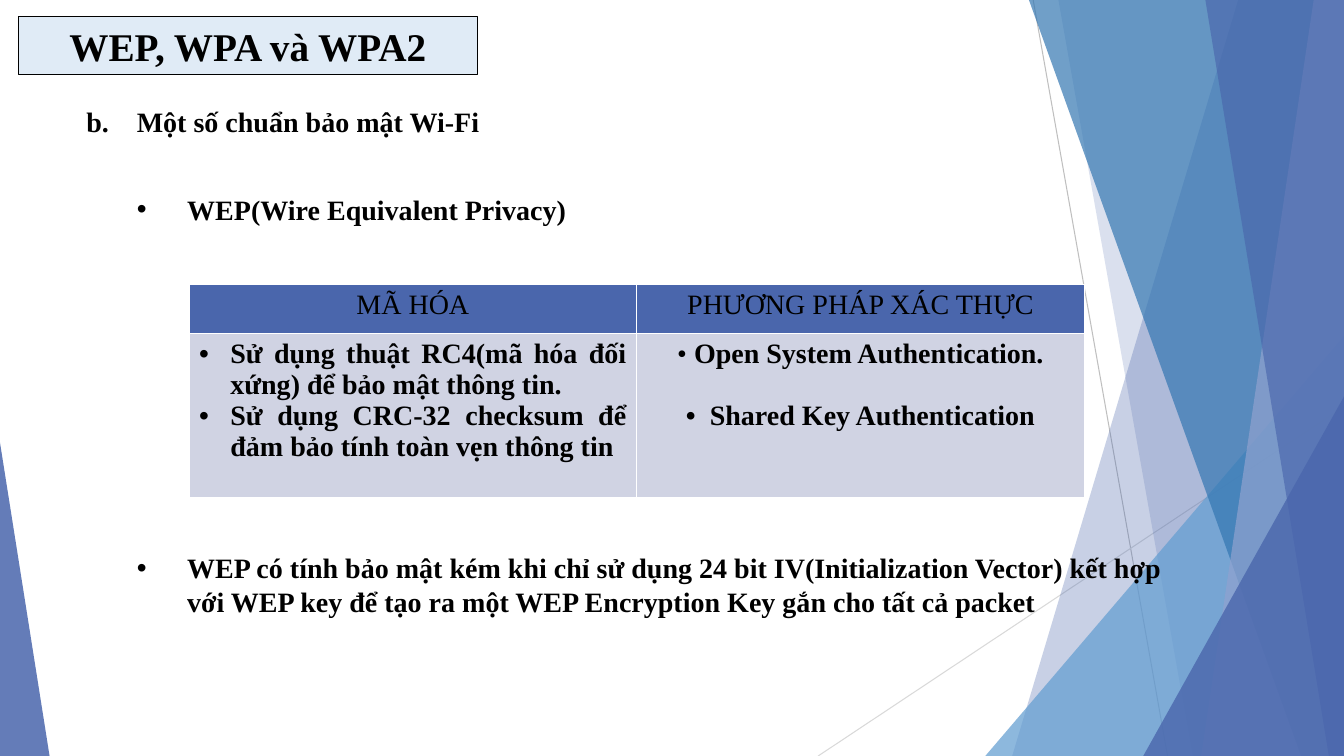
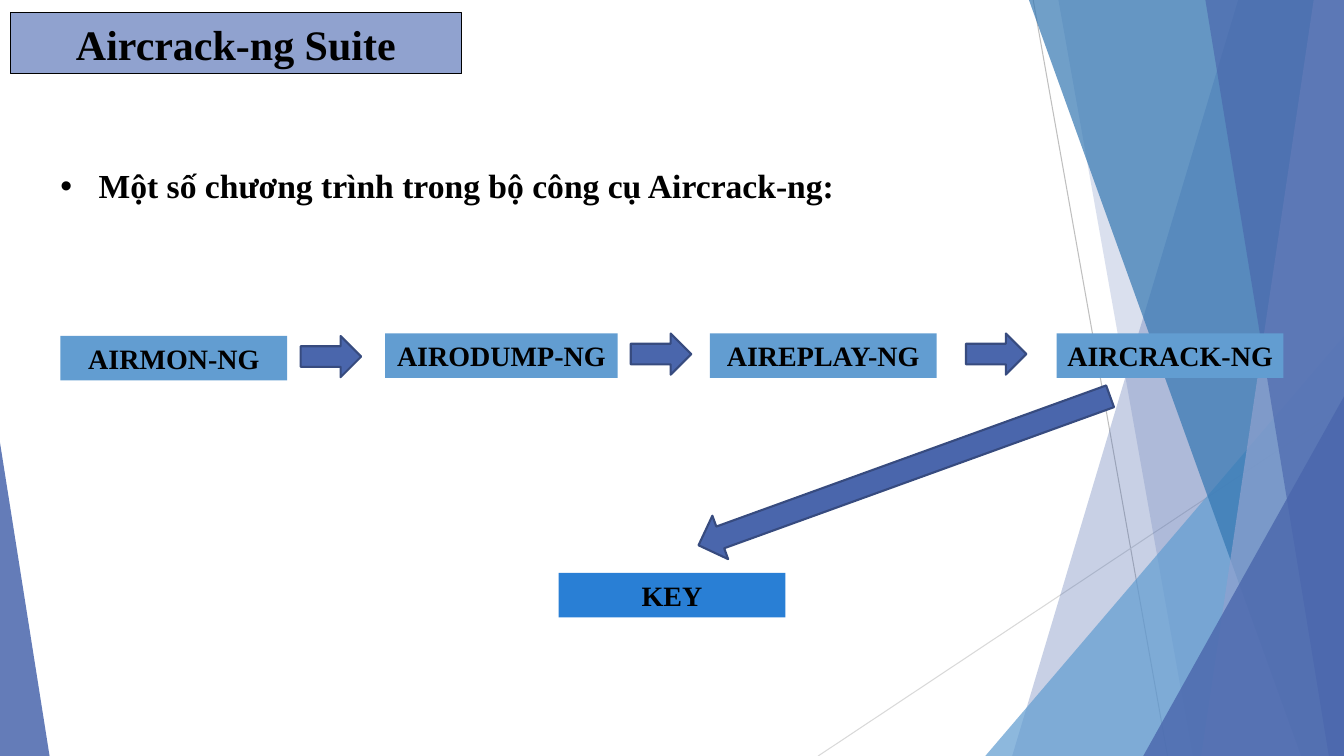
from lxml import etree
from pptx import Presentation, util as u
from pptx.dml.color import RGBColor
from pptx.enum import shapes, text
from pptx.oxml.ns import qn

COLS, ROWS = 160, 90
CELL = u.Inches(1) / 12
FONT = "Times New Roman"
BLACK, WHITE = "000000", "FFFFFF"
INDIGO, NAVY, LAVENDER = "4A66AC", "374B7F", "90A2CF"
SKY, STEEL, BLUE = "629DD1", "3477B2", "297FD5"
PALE_BLUE, PALE_GREY = "E0EBF6", "D0D3E3"
CENTER, JUSTIFY = text.PP_ALIGN.CENTER, text.PP_ALIGN.JUSTIFY
DOT = ("a:buChar", {"char": "•"})
LETTER_B = ("a:buAutoNum", {"type": "alphaLcPeriod", "startAt": "2"})

RAYS = [(147.4, 120.5, INDIGO, 30), (126, 142, INDIGO, 20),
        (122.5, 154.9, STEEL, 70), (156.4, 143, LAVENDER, 70),
        (143.5, 158.2, INDIGO, 65)]
STEPS = [("AIRMON-NG", 7.2, 40, 27), ("AIRODUMP-NG", 45.84, 39.7, 27.7),
         ("AIREPLAY-NG", 84.5, 39.7, 27), ("AIRCRACK-NG", 125.8, 39.7, 27)]
ARROWS = [(35.8, 40), (75.1, 39.7), (115, 39.7)]


def rgb(hex_string):
    """Turn a hex string into a colour."""
    return RGBColor.from_string(hex_string)


def grid(*cells):
    """Turn grid cells into lengths."""
    return [u.Emu(round(c * CELL)) for c in cells]


def paint(sp, fill, line=None, width=0.75, alpha=None):
    """Set the fill, outline and opacity of a shape without shadow."""
    sp.shadow.inherit = False
    sp.fill.solid()
    sp.fill.fore_color.rgb = rgb(fill)
    if alpha:
        color = sp.element.spPr.find(".//" + qn("a:srgbClr"))
        etree.SubElement(color, qn("a:alpha"), val=str(alpha * 1000))
    if line:
        sp.line.color.rgb = rgb(line)
        sp.line.width = u.Pt(width)
    else:
        sp.line.fill.background()


def style(p, size=20, bold=True, align=None):
    """Format every run of a paragraph."""
    p.alignment = align
    for r in p.runs:
        r.font.name, r.font.size, r.font.bold = FONT, u.Pt(size), bold
        r.font.color.rgb = rgb(BLACK)


def bullet(p, mark, indent):
    """Give a paragraph a hanging bullet or number."""
    pPr = p._p.get_or_add_pPr()
    pPr.set("marL", str(u.Inches(indent)))
    pPr.set("indent", str(-u.Inches(indent)))
    etree.SubElement(pPr, qn("a:buFont"), typeface="Arial" if mark is DOT else FONT)
    etree.SubElement(pPr, qn(mark[0]), mark[1])


def ray(s, top, bottom, color, alpha):
    """Draw a band from a slanted left side to the right slide edge."""
    points = [grid(x, y) for x, y in
              [(top, 0), (COLS, 0), (COLS, ROWS), (bottom, ROWS)]]
    fb = s.shapes.build_freeform(*points[0])
    fb.add_line_segments(points[1:], close=True)
    paint(fb.convert_to_shape(), color, alpha=alpha)


def wedge(s, x, y, w, apex, color, alpha):
    """Draw a right triangle standing on the bottom edge."""
    sp = s.shapes.add_shape(shapes.MSO_SHAPE.ISOSCELES_TRIANGLE,
                            *grid(x, y, w, ROWS - y))
    sp.adjustments[0] = apex
    paint(sp, color, alpha=alpha)


def hairline(s, x1, y1, x2, y2, color):
    """Draw a thin straight line."""
    cx = s.shapes.add_connector(shapes.MSO_CONNECTOR.STRAIGHT,
                                *grid(x1, y1, x2, y2))
    cx.line.color.rgb = rgb(color)
    cx.line.width = u.Pt(0.75)
    etree.SubElement(cx.element.spPr, qn("a:effectLst"))


def backdrop(s):
    """Draw the shared facets and move them to the slide's layout."""
    hairline(s, 123, 0, 139, ROWS, "BFBFBF")
    hairline(s, COLS, 48.4, 97.4, ROWS, "D9D9D9")
    for band in RAYS[:2]:
        ray(s, *band)
    wedge(s, 117.3, 40, 42.7, 1, SKY, 72)
    for band in RAYS[2:]:
        ray(s, *band)
    wedge(s, 136.1, 47.2, 23.9, 1, INDIGO, 80)
    wedge(s, 0, 52.7, 5.9, 0, INDIGO, 85)
    for sp in list(s.shapes):
        s.slide_layout.shapes.element.append(sp.element)


def label(s, words, x, y, w, h, fill, size=20, line=None):
    """Draw a filled box with centred bold text."""
    sp = s.shapes.add_shape(shapes.MSO_SHAPE.RECTANGLE, *grid(x, y, w, h))
    paint(sp, fill, line)
    sp.text_frame.text = words
    style(sp.text_frame.paragraphs[0], size, align=CENTER)


def point(s, words, x, y, w, h, mark=DOT, indent=0.5, size=20, align=None):
    """Add a text box holding one marked paragraph."""
    tf = s.shapes.add_textbox(*grid(x, y, w, h)).text_frame
    tf.word_wrap = True
    tf.text = words
    bullet(tf.paragraphs[0], mark, indent)
    style(tf.paragraphs[0], size, align=align)


def arrow(s, x, y, w, h, turn=0):
    """Draw a block arrow."""
    sp = s.shapes.add_shape(shapes.MSO_SHAPE.RIGHT_ARROW, *grid(x, y, w, h))
    sp.rotation = turn
    paint(sp, INDIGO, NAVY, 1.5)


def dress(cell, fill):
    """Give a cell white borders and a fill."""
    tcPr = cell._tc.get_or_add_tcPr()
    for side in "LRTB":
        ln = etree.SubElement(tcPr, qn("a:ln" + side), w=str(u.Pt(1)))
        solid = etree.SubElement(ln, qn("a:solidFill"))
        etree.SubElement(solid, qn("a:srgbClr"), val=WHITE)
    cell.fill.solid()
    cell.fill.fore_color.rgb = rgb(fill)


def wep_table(s):
    """Add the table of encryption and authentication methods."""
    tbl = s.shapes.add_table(2, 2, *grid(22.5, 33.9, 106.6, 25.4)).table
    for row, height in zip(tbl.rows, grid(5.8, 19.6)):
        row.height = height
    for cell, words in zip(tbl.rows[0].cells, ["MÃ HÓA", "PHƯƠNG PHÁP XÁC THỰC"]):
        dress(cell, INDIGO)
        cell.text_frame.text = words
        style(cell.text_frame.paragraphs[0], bold=False, align=CENTER)
    crypto, access = tbl.rows[1].cells
    for cell in (crypto, access):
        dress(cell, PALE_GREY)
    crypto.text_frame.text = (
        "Sử dụng thuật RC4(mã hóa đối xứng) để bảo mật thông tin.\n"
        "Sử dụng CRC-32 checksum để đảm bảo tính toàn vẹn thông tin")
    for p in crypto.text_frame.paragraphs:
        bullet(p, DOT, 0.31)
        style(p, align=JUSTIFY)
    tf = access.text_frame
    tf.text = "• "
    tf.paragraphs[0].add_run().text = "Open System Authentication."
    tf.add_paragraph().text = "•  Shared Key Authentication"
    for p in tf.paragraphs:
        style(p, align=CENTER)
    tf.paragraphs[0].runs[0].font.bold = False
    tf.paragraphs[1].space_before = u.Pt(22)


def wep_slide(s):
    """Fill the slide on Wi-Fi security standards."""
    label(s, "WEP, WPA và WPA2", 2.2, 2, 54.6, 6.9, PALE_BLUE, 28, BLACK)
    point(s, "Một số chuẩn bảo mật Wi-Fi", 9.1, 11.9, 50.8, 5.3, LETTER_B)
    point(s, "WEP(Wire Equivalent Privacy)", 15.1, 22.3, 58, 5.3)
    wep_table(s)
    point(s, "WEP có tính bảo mật kém khi chỉ sử dụng 24 bit IV(Initialization "
          "Vector) kết hợp với WEP key để tạo ra một WEP Encryption Key gắn cho "
          "tất cả packet", 15.1, 65, 125.9, 9.2)


def aircrack_slide(s):
    """Fill the slide on the tool chain."""
    label(s, "Aircrack-ng Suite", 1.2, 1.5, 53.8, 7.3, LAVENDER, 30, BLACK)
    point(s, "Một số chương trình trong bộ công cụ Aircrack-ng:",
          6, 19.1, 95, 6, indent=0.38, size=24, align=JUSTIFY)
    for words, x, y, w in STEPS:
        label(s, words, x, y, w, 5.3, SKY)
    for x, y in ARROWS:
        arrow(s, x, y, 7.2, 4.9)
    arrow(s, 81.6, 53.3, 52.1, 5.5, 160.1)
    label(s, "KEY", 66.5, 68.2, 27, 5.3, BLUE)


def main():
    """Build and save the presentation."""
    prs = Presentation()
    prs.slide_width, prs.slide_height = grid(COLS, ROWS)
    blank = prs.slide_layouts[6]
    for number, fill_slide in enumerate([wep_slide, aircrack_slide]):
        s = prs.slides.add_slide(blank)
        if number == 0:
            backdrop(s)
        fill_slide(s)
    prs.save("out.pptx")


if __name__ == "__main__":
    main()
